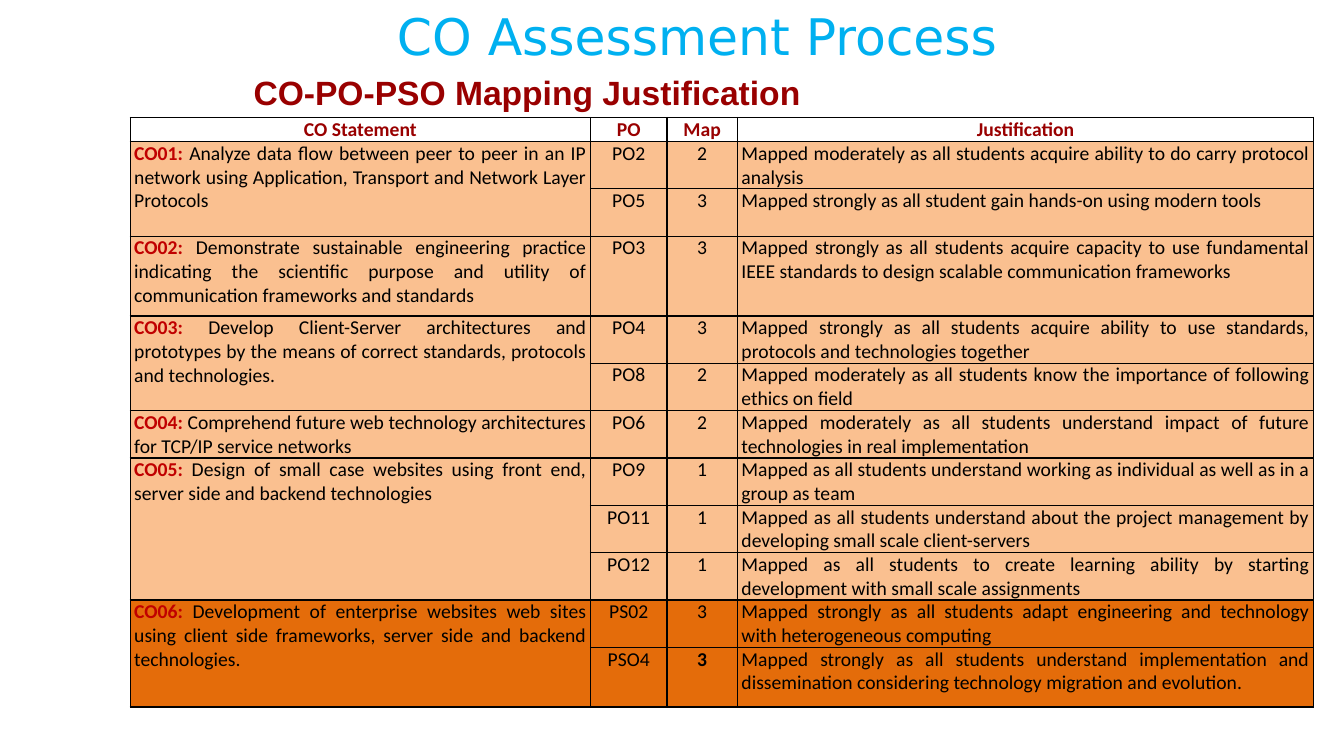
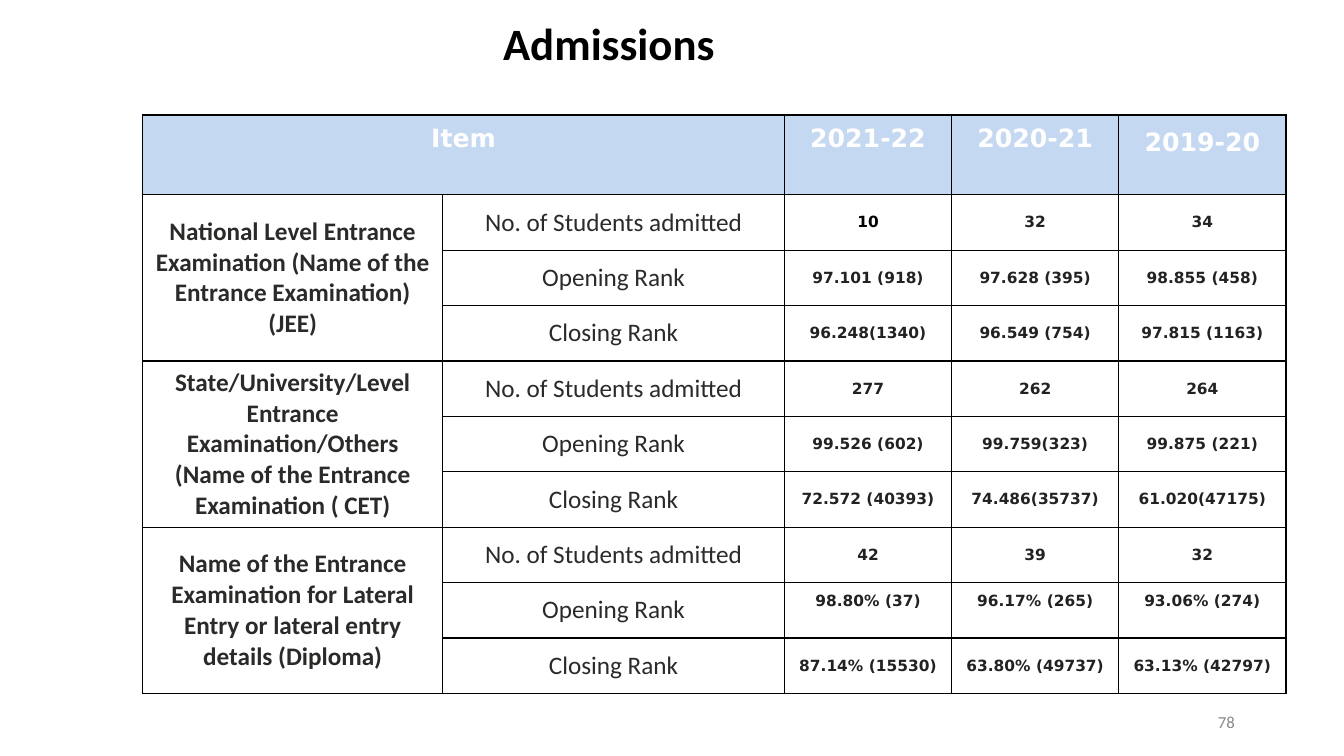
from lxml import etree
from pptx import Presentation
from pptx import util as u
from pptx.dml.color import RGBColor
from pptx.enum import text
from pptx.oxml.ns import qn

BLACK = RGBColor(0x00, 0x00, 0x00)
WHITE = RGBColor(0xFF, 0xFF, 0xFF)
SKY = RGBColor(0x00, 0xB0, 0xF0)
MAROON = RGBColor(0x99, 0x00, 0x00)
RED = RGBColor(0xC0, 0x00, 0x00)
PEACH = RGBColor(0xFA, 0xC0, 0x90)
ORANGE = RGBColor(0xE4, 0x6C, 0x0A)
PALE = RGBColor(0xC5, 0xD8, 0xF1)
COAL = RGBColor(0x2B, 0x2A, 0x29)
INK = RGBColor(0x22, 0x22, 0x22)
GREY = RGBColor(0x89, 0x89, 0x89)
SANS, BODY, HEAD = "DejaVu Sans", "Calibri", "Arial"
MID, TOP = text.MSO_ANCHOR.MIDDLE, text.MSO_ANCHOR.TOP
LEFT, CENTER, FULL = text.PP_ALIGN.LEFT, text.PP_ALIGN.CENTER, text.PP_ALIGN.JUSTIFY

deck = Presentation()
deck.slide_width, deck.slide_height = u.Inches(13.33), u.Inches(7.5)
UNIT = deck.slide_width / 160  # the slide is a grid of 160 columns and 90 rows


def write(frame, words, size, font, color, bold=False, align=CENTER):
    """Fill a frame; a leading 'CO..:' label is set in bold red."""
    frame.word_wrap = True
    frame.text = words
    for para in frame.paragraphs:
        para.alignment = align
        label, colon, rest = para.text.partition(":")
        if colon:
            para.text = label + colon
            para.add_run().text = rest
        for run in para.runs:
            tag = bool(colon) and run.text.endswith(":")
            run.font.size, run.font.name = u.Pt(size), font
            run.font.bold = bold or tag
            run.font.color.rgb = RED if tag else color


def grid(slide, left, top, cols, rows):
    """Add a plain table with thin black borders, sized in grid units."""
    spots = [round(n * UNIT) for n in (left, top, sum(cols), sum(rows))]
    table = slide.shapes.add_table(len(rows), len(cols), *spots).table
    table.first_row = table.horz_banding = False
    for col, wide in zip(table.columns, cols):
        col.width = round(wide * UNIT)
    for row, high in zip(table.rows, rows):
        row.height = round(high * UNIT)
    for cell in table.iter_cells():
        props = cell._tc.get_or_add_tcPr()
        for side in ("a:lnL", "a:lnR", "a:lnT", "a:lnB"):
            line = etree.SubElement(props, qn(side), w=str(u.Pt(1)))
            fill = etree.SubElement(line, qn("a:solidFill"))
            etree.SubElement(fill, qn("a:srgbClr"), val=str(BLACK))
        cell.margin_top = cell.margin_bottom = 0
    return table


# Text boxes of both slides
blank = deck.slide_layouts[6]
mapping, intake = [deck.slides.add_slide(blank) for _ in range(2)]
boxes = [
    (mapping, (27, 0, 112, 8.5), TOP, "CO Assessment Process", 36, SANS, SKY, False, CENTER),
    (mapping, (29, 8, 107, 6), MID, "CO-PO-PSO Mapping Justification", 24, HEAD, MAROON, True, LEFT),
    (intake, (0, 1.3, 145, 10.5), TOP, "Admissions", 32, BODY, BLACK, True, CENTER),
    (intake, (139, 83.4, 14, 5), MID, "78", 12, BODY, GREY, False, CENTER),
]
for slide, spot, anchor, *style in boxes:
    frame = slide.shapes.add_textbox(*[round(n * UNIT) for n in spot]).text_frame
    write(frame, *style)
    frame.vertical_anchor = anchor

# Mapping table: each outcome holds rows of (PO, level, reason)
goals = [
    ("CO01: Analyze data flow between peer to peer in an IP network using Application, "
     "Transport and Network Layer Protocols", [
         ("PO2", "2", "Mapped moderately as all students acquire ability to do carry protocol analysis"),
         ("PO5", "3", "Mapped strongly as all student gain hands-on using modern tools")]),
    ("CO02: Demonstrate sustainable engineering practice indicating the scientific purpose "
     "and utility of communication frameworks and standards", [
         ("PO3", "3", "Mapped strongly as all students acquire capacity to use fundamental "
          "IEEE standards to design scalable communication frameworks")]),
    ("CO03: Develop Client-Server architectures and prototypes by the means of correct "
     "standards, protocols and technologies.", [
         ("PO4", "3", "Mapped strongly as all students acquire ability to use standards, "
          "protocols and technologies together"),
         ("PO8", "2", "Mapped moderately as all students know the importance of following "
          "ethics on field")]),
    ("CO04: Comprehend future web technology architectures for TCP/IP service networks", [
        ("PO6", "2", "Mapped moderately as all students understand impact of future "
         "technologies in real implementation")]),
    ("CO05: Design of small case websites using front end, server side and backend technologies", [
        ("PO9", "1", "Mapped as all students understand working as individual as well as "
         "in a group as team"),
        ("PO11", "1", "Mapped as all students understand about the project management by "
         "developing small scale client-servers"),
        ("PO12", "1", "Mapped as all students to create learning ability by starting "
         "development with small scale assignments")]),
    ("CO06: Development of enterprise websites web sites using client side frameworks, "
     "server side and backend technologies.", [
         ("PS02", "3", "Mapped strongly as all students adapt engineering and technology "
          "with heterogeneous computing"),
         ("PSO4", "3", "Mapped strongly as all students understand implementation and "
          "dissemination considering technology migration and evolution.")]),
]
highs = [2.85] + [5.64] * 2 + [9.5] + [5.64] * 7 + [7.1]
table = grid(mapping, 15.5, 14, (54.8, 9.1, 8.4, 68.6), highs)
for cell in table.iter_cells():
    cell.margin_left = cell.margin_right = u.Inches(0.04)
    cell.fill.background()
for c, name in enumerate(("CO Statement", "PO", "Map", "Justification")):
    write(table.cell(0, c).text_frame, name, 14, BODY, MAROON, True)
r = 1
for goal, links in goals:
    first = table.cell(r, 0)
    if len(links) > 1:
        first.merge(table.cell(r + len(links) - 1, 0))
    write(first.text_frame, goal, 14, BODY, BLACK, align=FULL)
    for link in links:
        for c, words in enumerate(link, 1):
            bold = link[0] == "PSO4" and c == 2
            write(table.cell(r, c).text_frame, words, 14, BODY, BLACK, bold, FULL if c == 3 else CENTER)
        for c in range(4):
            fill = table.cell(r, c).fill
            fill.solid()
            fill.fore_color.rgb = ORANGE if goal.startswith("CO06") else PEACH
        r += 1

# Admissions table: three exams, three measures, three years
years = ("2021-22", "2020-21", "2019-20")
kinds = ("No. of Students admitted", "Opening Rank", "Closing Rank")
exams = [
    ("National Level Entrance\nExamination (Name of the Entrance Examination) (JEE)", [
        ("10", "32", "34"),
        ("97.101 (918)", "97.628 (395)", "98.855 (458)"),
        ("96.248(1340)", "96.549 (754)", "97.815 (1163)")]),
    ("State/University/Level Entrance\nExamination/Others (Name of the Entrance Examination ( CET)", [
        ("277", "262", "264"),
        ("99.526 (602)", "99.759(323)", "99.875 (221)"),
        ("72.572 (40393)", "74.486(35737)", "61.020(47175)")]),
    ("Name of the Entrance Examination for Lateral Entry or lateral entry details (Diploma)", [
        ("42", "39", "32"),
        ("98.80% (37)", "96.17% (265)", "93.06% (274)"),
        ("87.14% (15530)", "63.80% (49737)", "63.13% (42797)")]),
]
table = grid(intake, 17, 13.7, [35.7, 40.7] + [19.9] * 3, [9.5] + [6.6] * 9)
for n, cell in enumerate(table.iter_cells()):
    r, c = divmod(n, 5)
    cell.margin_left = cell.margin_right = u.Inches(0.07 if r == 0 or c < 2 else 0)
    cell.vertical_anchor = MID if r else TOP
    cell.fill.solid()
    cell.fill.fore_color.rgb = WHITE if r else PALE
table.cell(0, 0).merge(table.cell(0, 1))
for c, name in zip((0, 2, 3, 4), ("Item",) + years):
    cell = table.cell(0, c)
    write(cell.text_frame, name, 18, SANS, WHITE, True)
    cell.margin_top = u.Inches(0.13 if c == 4 else 0.09)
for e, (exam, ranks) in enumerate(exams):
    top = 1 + e * len(kinds)
    table.cell(top, 0).merge(table.cell(top + 2, 0))
    write(table.cell(top, 0).text_frame, exam, 18, BODY, COAL, True)
    for r, (kind, marks) in enumerate(zip(kinds, ranks), top):
        write(table.cell(r, 1).text_frame, kind, 18, BODY, COAL)
        for c, mark in enumerate(marks, 2):
            cell = table.cell(r, c)
            write(cell.text_frame, mark, 11, SANS, BLACK if mark == "10" else INK, True)
            if "%" in mark and kind == "Opening Rank":
                cell.margin_bottom = u.Inches(0.18)

deck.save("out.pptx")
